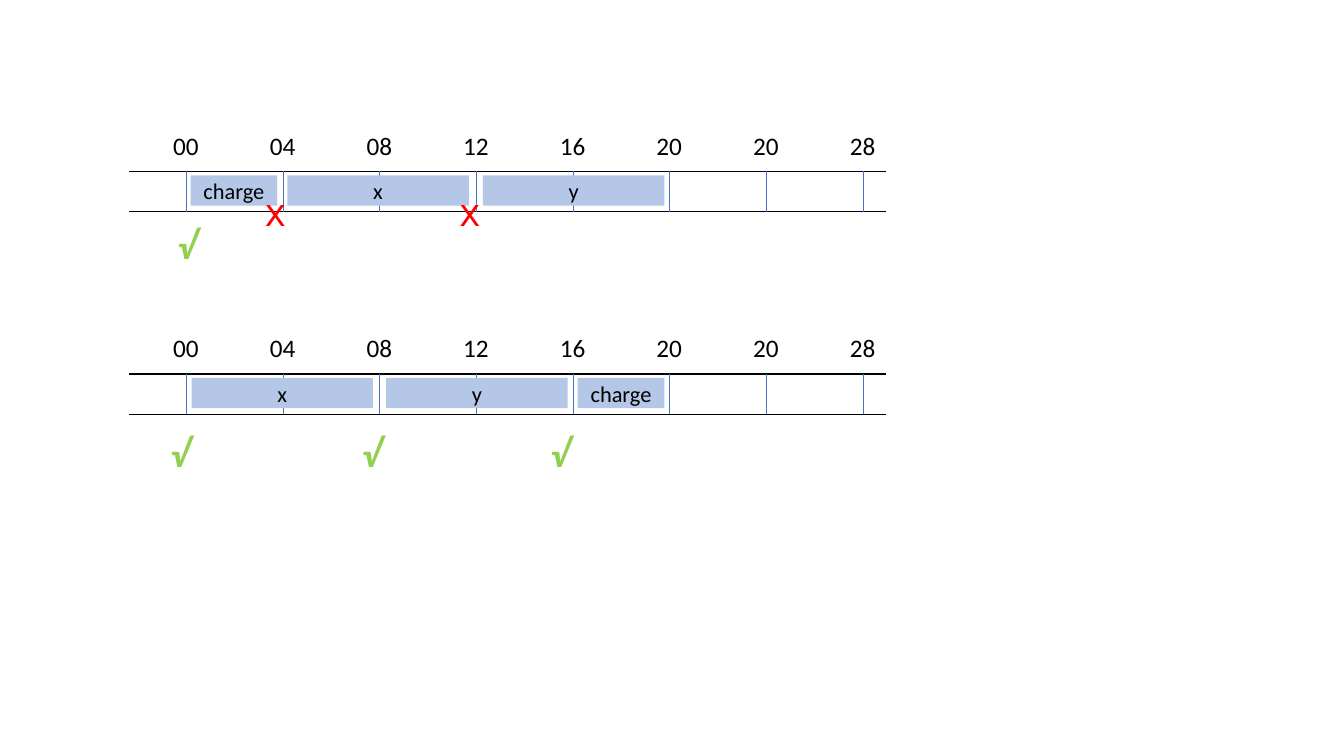
from lxml import etree
from pptx import Presentation
from pptx.dml.color import RGBColor
from pptx.enum.shapes import MSO_CONNECTOR, MSO_SHAPE
from pptx.enum.text import MSO_ANCHOR, MSO_AUTO_SIZE, PP_ALIGN
from pptx.oxml.ns import qn
from pptx.util import Inches, Pt

BLACK = RGBColor(0x00, 0x00, 0x00)
TICK_BLUE = RGBColor(0x44, 0x72, 0xC4)
TASK_BLUE = RGBColor(0xB4, 0xC7, 0xE7)
RED = RGBColor(0xFF, 0x00, 0x00)
GREEN = RGBColor(0x92, 0xD0, 0x50)

ADDRESSES = ["00", "04", "08", "12", "16", "20", "20", "28"]
BAND_LEFT, BAND_RIGHT, BAND_HEIGHT = 1.28, 8.79, 0.4
FIRST_TICK, LAST_TICK = 1.85, 8.56
TICK_STEP = (LAST_TICK - FIRST_TICK) / (len(ADDRESSES) - 1)
FIELD_WIDTHS = {"charge": 0.86, "x": 1.8, "y": 1.8}


def add_line(shapes, start, end, color, width):
    line = shapes.add_connector(
        MSO_CONNECTOR.STRAIGHT, *(Inches(value) for value in start + end)
    )
    line.line.color.rgb = color
    line.line.width = Pt(width)
    etree.SubElement(line._element.spPr, qn("a:effectLst"))


def format_text(paragraph, size, color, font_name="Calibri"):
    font = paragraph.runs[0].font
    font.name = font_name
    font.size = Pt(size)
    font.color.rgb = color
    return font


def add_label(shapes, text, left, top, width, height, size, color, font_name="Calibri"):
    box = shapes.add_textbox(Inches(left), Inches(top), Inches(width), Inches(height))
    text_frame = box.text_frame
    text_frame.text = text
    text_frame.word_wrap = False
    text_frame.auto_size = MSO_AUTO_SIZE.SHAPE_TO_FIT_TEXT
    return format_text(text_frame.paragraphs[0], size, color, font_name)


def add_memory_band(slide, top):
    shapes = slide.shapes.add_group_shape().shapes
    bottom = top + BAND_HEIGHT
    for edge in (top, bottom):
        add_line(shapes, (BAND_LEFT, edge), (BAND_RIGHT, edge), BLACK, 1)
    for index, address in enumerate(ADDRESSES):
        tick = FIRST_TICK + index * TICK_STEP
        add_line(shapes, (tick, top), (tick, bottom), TICK_BLUE, 0.5)
        add_label(shapes, address, tick - 0.23, top - 0.46, 0.46, 0.4, 18, BLACK)


def add_field(slide, name, left, top):
    field = slide.shapes.add_shape(
        MSO_SHAPE.RECTANGLE,
        Inches(left), Inches(top), Inches(FIELD_WIDTHS[name]), Inches(0.3),
    )
    field.shadow.inherit = False
    field.fill.solid()
    field.fill.fore_color.rgb = TASK_BLUE
    field.line.fill.background()
    text_frame = field.text_frame
    text_frame.text = name
    text_frame.vertical_anchor = MSO_ANCHOR.MIDDLE
    paragraph = text_frame.paragraphs[0]
    paragraph.alignment = PP_ALIGN.CENTER
    format_text(paragraph, 16, BLACK)


def add_cross(slide, left, top):
    add_label(slide.shapes, "x", left, top, 0.48, 0.57, 28, RED, "Open Sans")


def add_check(slide, left, top):
    font = add_label(slide.shapes, "√", left, top, 0.42, 0.57, 28, GREEN)
    font.bold = True
    font.italic = True


def add_layout(slide, top, fields, crosses, checks, check_top):
    add_memory_band(slide, top)
    for name, left in fields:
        add_field(slide, name, left, top + 0.04)
    for left in crosses:
        add_cross(slide, left, top + 0.11)
    for left in checks:
        add_check(slide, left, check_top)


def main():
    presentation = Presentation()
    presentation.slide_width = Inches(13.33)
    presentation.slide_height = Inches(7.5)
    slide = presentation.slides.add_slide(presentation.slide_layouts[6])
    add_layout(
        slide, 1.7,
        fields=[("charge", 1.89), ("x", 2.85), ("y", 4.79)],
        crosses=[2.53, 4.46], checks=[1.66], check_top=2.14,
    )
    add_layout(
        slide, 3.71,
        fields=[("x", 1.9), ("y", 3.83), ("charge", 5.73)],
        crosses=[], checks=[1.59, 3.49, 5.36], check_top=4.2,
    )
    presentation.save("out.pptx")


if __name__ == "__main__":
    main()
